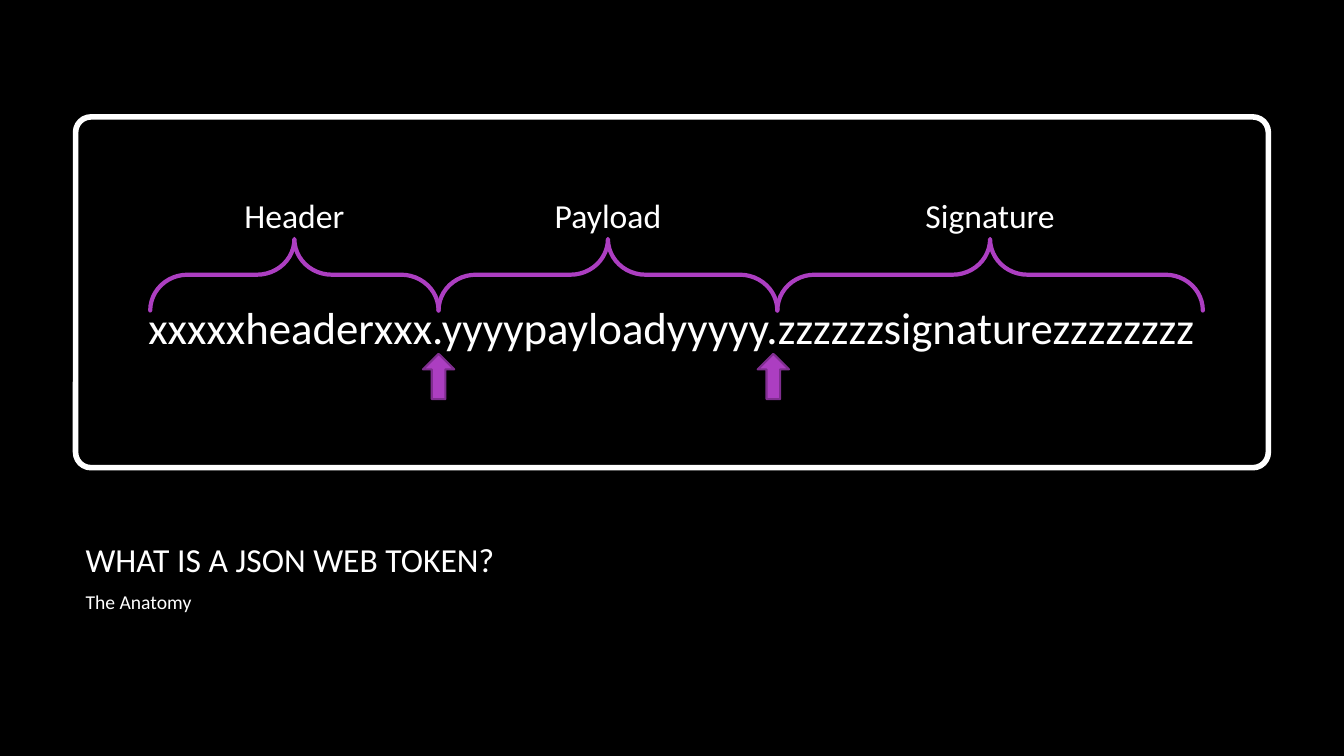
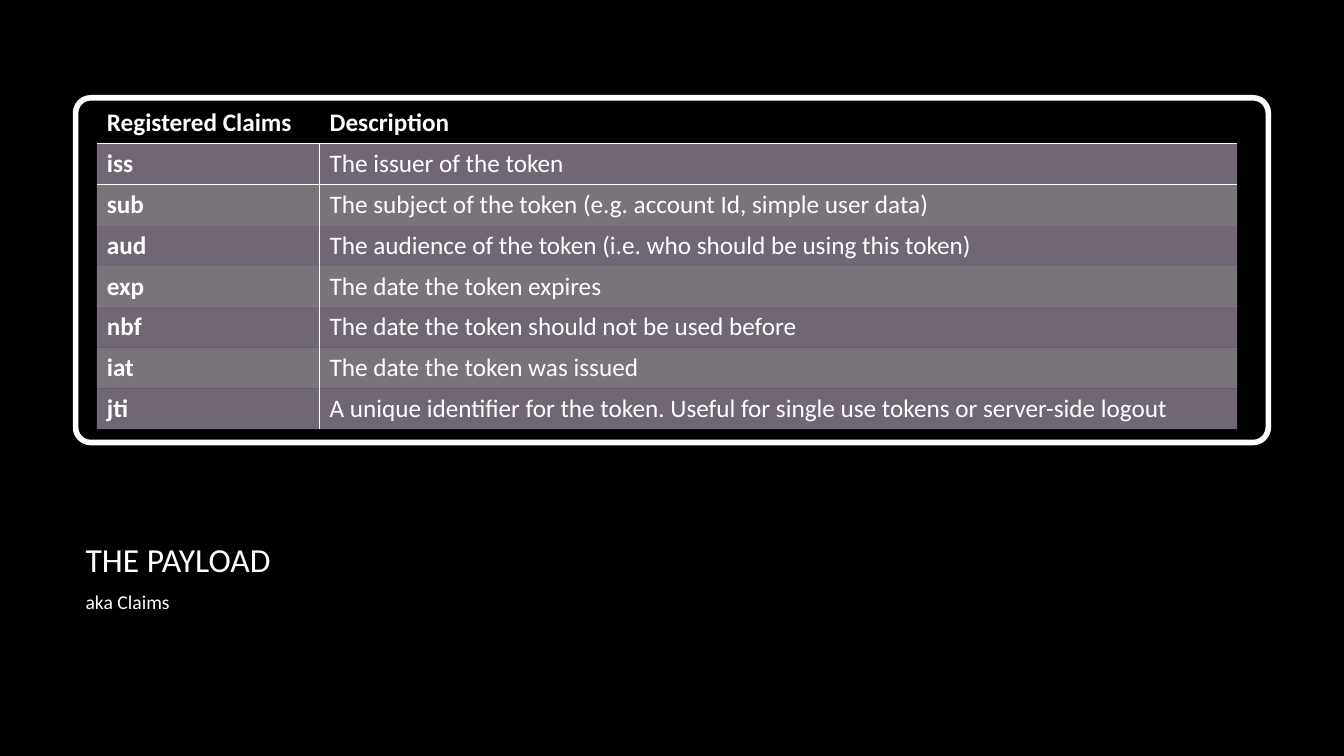
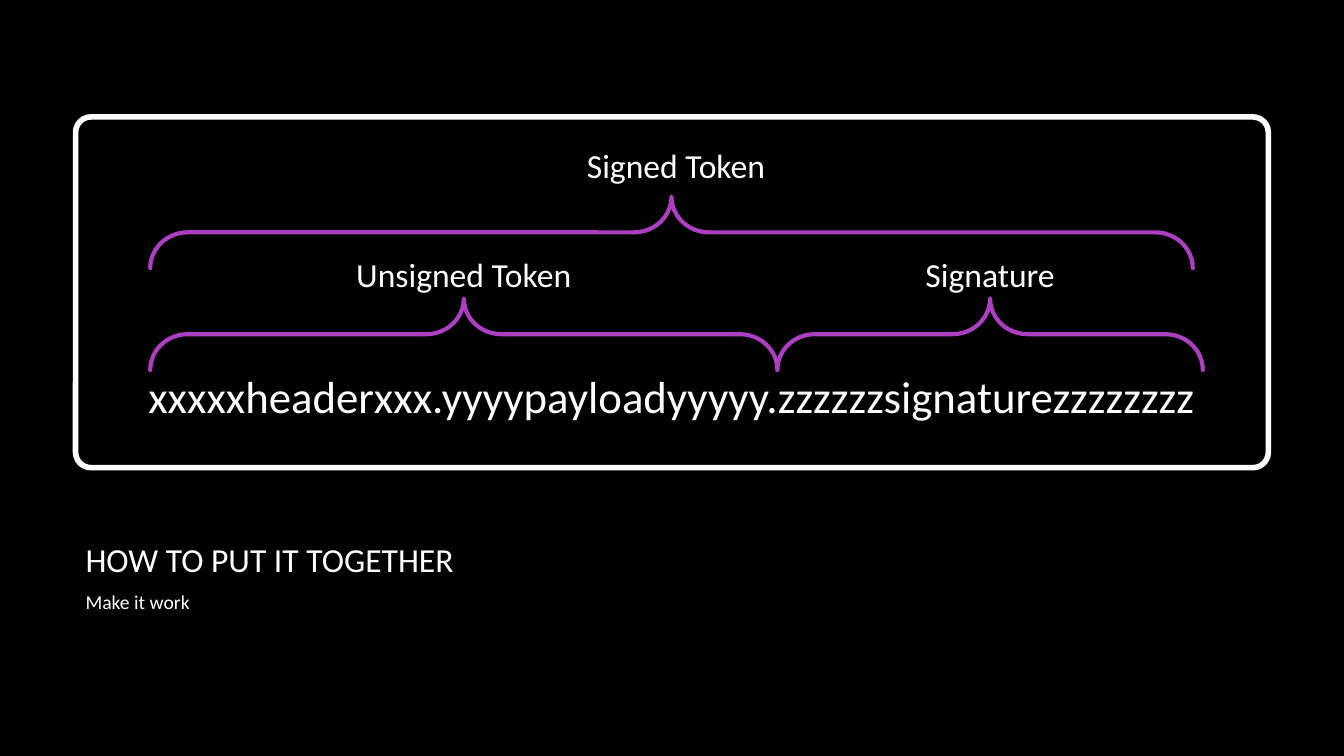
from dataclasses import dataclass

import lxml.etree
import pptx
import pptx.dml.color
import pptx.enum.shapes
import pptx.enum.text
import pptx.oxml.ns
import pptx.util

Inches = pptx.util.Inches
Pt = pptx.util.Pt
SHAPE = pptx.enum.shapes.MSO_SHAPE
ALIGN = pptx.enum.text.PP_ALIGN
ANCHOR = pptx.enum.text.MSO_ANCHOR
qn = pptx.oxml.ns.qn

FONT = "Calibri"
COLORS = {
    "background": "000000",
    "text": "FFFFFF",
    "accent": "AC3EC1",
    "accent_dark": "7F2E8F",
    "odd_row": "E3CEE9",
    "even_row": "F1E8F4",
}
NO_STYLE = "{2D5ABB26-0587-4C30-8999-92F81FD0307C}"
MARGIN = 0.75
FRAME_WIDTH = 11.83
TITLE_WIDTH = 11.08
BRACE_DEPTH = 0.71
TOKEN = "xxxxxheaderxxx.yyyypayloadyyyyy.zzzzzzsignaturezzzzzzzz"
TOKEN_LEFT, HEADER_END, PAYLOAD_END, SIGNATURE_END = 1.49, 4.35, 7.71, 11.93
CLAIMS = [
    ("Registered Claims", "Description"),
    ("iss", "The issuer of the token"),
    ("sub", "The subject of the token (e.g. account Id, simple user data)"),
    ("aud", "The audience of the token (i.e. who should be using this token)"),
    ("exp", "The date the token expires"),
    ("nbf", "The date the token should not be used before"),
    ("iat", "The date the token was issued"),
    ("jti", "A unique identifier for the token. Useful for single use tokens or server-side logout"),
]


@dataclass
class Segment:
    label: str
    left: float
    right: float
    brace_top: float
    label_gap: float = 0.49
    label_overhang: float = 0.0


@dataclass
class Anatomy:
    title: str
    subtitle: str
    token_drop: float
    segments: list[Segment]
    separators: tuple[float, ...] = ()


ANATOMY = Anatomy(
    "WHAT IS A JSON WEB TOKEN?", "The Anatomy", 0.34,
    [
        Segment("Header", TOKEN_LEFT, HEADER_END, 2.37),
        Segment("Payload", HEADER_END, PAYLOAD_END, 2.37),
        Segment("Signature", PAYLOAD_END, SIGNATURE_END, 2.37),
    ],
    (4.35, 7.67),
)
ASSEMBLY = Anatomy(
    "HOW TO PUT IT TOGETHER", "Make it work", 1.02,
    [
        Segment("Unsigned Token", TOKEN_LEFT, PAYLOAD_END, 2.96),
        Segment("Signature", PAYLOAD_END, SIGNATURE_END, 2.96),
        Segment("Signed Token", TOKEN_LEFT, 11.83, 1.95, 0.56, 0.09),
    ],
)


def rgb(name: str) -> pptx.dml.color.RGBColor:
    return pptx.dml.color.RGBColor.from_string(COLORS[name])


def write(frame, text: str, size: float, align=ALIGN.LEFT, bold: bool = False) -> None:
    frame.text = text
    frame.word_wrap = True
    paragraph = frame.paragraphs[0]
    paragraph.alignment = align
    font = paragraph.runs[0].font
    font.name, font.size, font.bold = FONT, Pt(size), bold
    font.color.rgb = rgb("text")


def add_label(slide, text: str, left: float, top: float, width: float, height: float,
              size: float, align=ALIGN.LEFT, anchor=ANCHOR.TOP) -> None:
    frame = slide.shapes.add_textbox(Inches(left), Inches(top), Inches(width), Inches(height)).text_frame
    write(frame, text, size, align)
    frame.vertical_anchor = anchor


def add_outline(slide, kind, left: float, top: float, width: float, height: float,
                line: str, weight: float, adjustments: tuple[float, ...]):
    shape = slide.shapes.add_shape(kind, Inches(left), Inches(top), Inches(width), Inches(height))
    shape.shadow.inherit = False
    shape.fill.background()
    shape.line.color.rgb = rgb(line)
    shape.line.width = Pt(weight)
    for index, value in enumerate(adjustments):
        shape.adjustments[index] = value
    return shape


def add_framed_slide(deck, title: str, subtitle: str, frame_top: float, frame_height: float):
    slide = deck.slides.add_slide(deck.slide_layouts[6])
    add_label(slide, title, MARGIN, 5.18, TITLE_WIDTH, 0.62, 24, anchor=ANCHOR.BOTTOM)
    add_label(slide, subtitle, MARGIN, 5.8, TITLE_WIDTH, 0.54, 14)
    panel = add_outline(slide, SHAPE.ROUNDED_RECTANGLE, MARGIN, frame_top, FRAME_WIDTH,
                        frame_height, "text", 4, (0.044,))
    return slide, panel


def add_segment(slide, segment: Segment) -> None:
    span = segment.right - segment.left
    brace = add_outline(slide, SHAPE.RIGHT_BRACE,
                        (segment.left + segment.right - BRACE_DEPTH) / 2,
                        segment.brace_top + (BRACE_DEPTH - span) / 2,
                        BRACE_DEPTH, span, "accent", 3, (0.523, 0.5))
    brace.rotation = 270
    brace._element.spPr.find(qn("a:ln")).set("cap", "rnd")
    add_label(slide, segment.label, segment.left, segment.brace_top - segment.label_gap,
              span + segment.label_overhang, 0.5, 24, ALIGN.CENTER)


def add_separator_arrow(slide, center: float) -> None:
    width = 0.31
    arrow = add_outline(slide, SHAPE.UP_ARROW, center - width / 2, 3.51, width, 0.45,
                        "accent_dark", 1.5, (0.438, 0.5))
    arrow.fill.solid()
    arrow.fill.fore_color.rgb = rgb("accent")


def add_token_slide(deck, anatomy: Anatomy) -> None:
    slide, panel = add_framed_slide(deck, anatomy.title, anatomy.subtitle, 1.16, 3.48)
    write(panel.text_frame, TOKEN, 32, ALIGN.CENTER)
    panel.text_frame.vertical_anchor = ANCHOR.MIDDLE
    panel.text_frame.margin_top = Inches(0.05 + 2 * anatomy.token_drop)
    for segment in anatomy.segments:
        add_segment(slide, segment)
    for center in anatomy.separators:
        add_separator_arrow(slide, center)


def add_border(cell, side: str) -> None:
    line = lxml.etree.SubElement(cell._tc.get_or_add_tcPr(), qn(f"a:{side}"), w=str(Pt(1)))
    fill = lxml.etree.SubElement(line, qn("a:solidFill"))
    lxml.etree.SubElement(fill, qn("a:srgbClr"), val=COLORS["text"])


def fill_half_transparent(cell, color: str) -> None:
    cell.fill.solid()
    cell.fill.fore_color.rgb = rgb(color)
    value = cell._tc.tcPr.find(qn("a:solidFill")).find(qn("a:srgbClr"))
    lxml.etree.SubElement(value, qn("a:alpha"), val="50000")


def add_claims_slide(deck) -> None:
    slide, _ = add_framed_slide(deck, "THE PAYLOAD", "aka Claims", 0.97, 3.42)
    claims = slide.shapes.add_table(len(CLAIMS), 2, Inches(0.96), Inches(1.02),
                                    Inches(11.31), Inches(3.24)).table
    claims._tbl.tblPr.find(qn("a:tableStyleId")).text = NO_STYLE
    claims.horz_banding = False
    for column, width in zip(claims.columns, (2.21, 9.1)):
        column.width = Inches(width)
    for row, texts in enumerate(CLAIMS):
        for column, text in enumerate(texts):
            cell = claims.cell(row, column)
            write(cell.text_frame, text, 18, bold=row == 0 or column == 0)
            if row == 0:
                add_border(cell, "lnB")
                cell.fill.background()
                continue
            add_border(cell, "lnR" if column == 0 else "lnL")
            if row == 1:
                add_border(cell, "lnT")
            fill_half_transparent(cell, "odd_row" if row % 2 else "even_row")


def main() -> None:
    deck = pptx.Presentation()
    deck.slide_width, deck.slide_height = Inches(13.33), Inches(7.5)
    backdrop = deck.slide_master.background.fill
    backdrop.solid()
    backdrop.fore_color.rgb = rgb("background")
    add_token_slide(deck, ANATOMY)
    add_claims_slide(deck)
    add_token_slide(deck, ASSEMBLY)
    deck.save("out.pptx")


if __name__ == "__main__":
    main()
